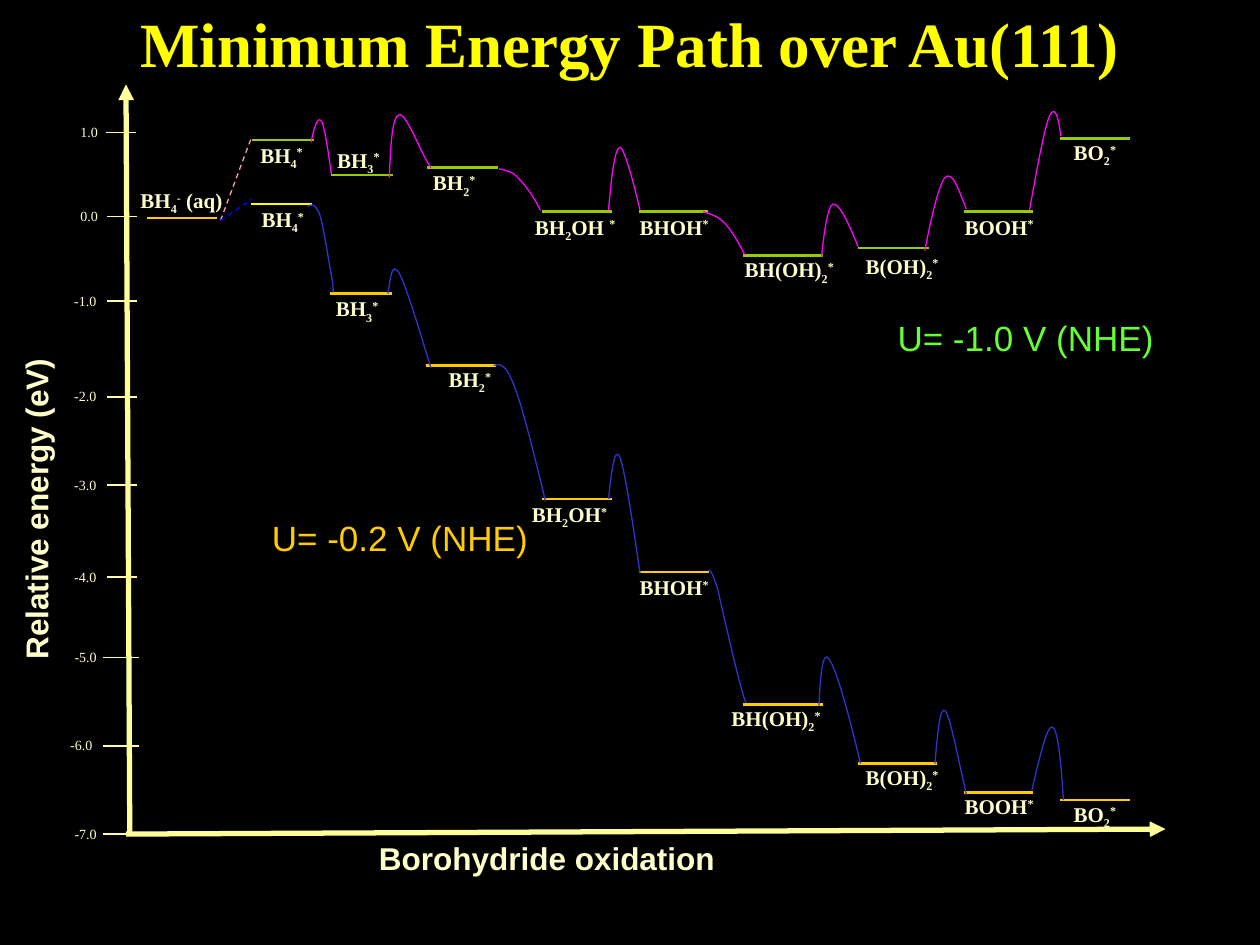
"""Build a slide with the borohydride oxidation energy path at two potentials."""
import pptx
import pptx.dml.color
import pptx.enum.dml
import pptx.enum.text
import pptx.oxml
import pptx.oxml.ns
import pptx.util

COLORS = {
    "background": "000000", "title": "FFFF00", "text": "FFFFCC", "axis": "FFFF99",
    "upper": "99CC00", "lower": "FFCC00", "first": "FFFF00", "upper_note": "66FF33",
    "upper_curve": "FF00FF", "lower_curve": "3333CC", "upper_dash": "FF99CC", "lower_dash": "0000FF",
}
RGB = {name: pptx.dml.color.RGBColor.from_string(value) for name, value in COLORS.items()}
BASELINES = {"_": "-25000", "^": "30000"}
CENTER = pptx.enum.text.PP_ALIGN.CENTER
LEFT = pptx.enum.text.PP_ALIGN.LEFT
GROW = pptx.enum.text.MSO_AUTO_SIZE.SHAPE_TO_FIT_TEXT
AXIS_FONT = {"name": "Arial", "size": pptx.util.Pt(18), "bold": True}
NOTE_FONT = {"name": "Arial", "size": pptx.util.Pt(20), "bold": False}
TICK_FONT = {"name": "Times New Roman", "size": pptx.util.Pt(8), "bold": False}
STATE_FONT = {"name": "Times New Roman", "size": pptx.util.Pt(12), "bold": True}
TITLE_FONT = {"name": "Times New Roman", "size": pptx.util.Pt(36), "bold": True}

presentation = pptx.Presentation()
presentation.slide_width = pptx.util.Inches(10)
presentation.slide_height = pptx.util.Inches(7.5)
UNIT = presentation.slide_width / 10
slide = presentation.slides.add_slide(presentation.slide_layouts[5])
slide.background.fill.solid()
slide.background.fill.fore_color.rgb = RGB["background"]


def write(content, box, font, color="text", align=CENTER, wrap=True, shape=None):
    """Write text whose parts are split by | and marked _ for sub- or ^ for superscript."""
    shape = shape or slide.shapes.add_textbox(0, 0, 0, 0)
    for name, value in zip(("left", "top", "width", "height"), box):
        setattr(shape, name, round(value * UNIT))
    frame = shape.text_frame
    frame.word_wrap = wrap
    frame.auto_size = GROW
    paragraph = frame.paragraphs[0]
    paragraph.alignment = align
    for part in content.split("|"):
        run = paragraph.add_run()
        run.text = part.lstrip("_^")
        for name, value in font.items():
            setattr(run.font, name, value)
        run.font.color.rgb = RGB[color]
        if part[0] in BASELINES:
            run.font._element.set("baseline", BASELINES[part[0]])
    return shape


def draw_line(start, end, color, width, dashed=False, arrow=False):
    """Draw a straight line between two grid points."""
    connector = slide.shapes.add_connector(1, *(round(value * UNIT) for value in start + end))
    connector.line.color.rgb = RGB[color]
    connector.line.width = pptx.util.Pt(width)
    if dashed:
        connector.line.dash_style = pptx.enum.dml.MSO_LINE.DASH
    if arrow:
        outline = connector.line._get_or_add_ln()
        outline.append(pptx.oxml.parse_xml(f'<a:tailEnd {pptx.oxml.ns.nsdecls("a")} type="triangle"/>'))
    connector._element.spPr.append(pptx.oxml.parse_xml(f'<a:effectLst {pptx.oxml.ns.nsdecls("a")}/>'))


title = write("Minimum Energy Path over Au(111)", (0, -0.08, 10, 0.83), TITLE_FONT, "title",
              wrap=False, shape=slide.shapes.title)
title.text_frame.auto_size = pptx.enum.text.MSO_AUTO_SIZE.NONE
title.text_frame.vertical_anchor = pptx.enum.text.MSO_ANCHOR.MIDDLE

axis_title = write("Relative energy (eV)", (-1.34, 3.84, 3.25, 0.4), AXIS_FONT)
axis_title.rotation = 270
write("Borohydride oxidation", (2.91, 6.61, 2.87, 0.4), AXIS_FONT, align=LEFT, wrap=False)
draw_line((1.03, 6.61), (1, 0.67), "axis", 3, arrow=True)
draw_line((1, 6.62), (9.25, 6.58), "axis", 3, arrow=True)

ticks = [
    (1.05, 0.84, 0.24, 0.54, 0.43, LEFT), (1.72, 0.85, 0.24, 0.54, 0.43, LEFT),
    (2.39, 0.85, 0.24, 0.49, 0.43, LEFT), (3.15, 0.85, 0.24, 0.49, 0.43, LEFT),
    (3.85, 0.85, 0.24, 0.49, 0.43, LEFT), (4.58, 0.85, 0.24, 0.49, 0.43, LEFT),
    (5.22, 0.82, 0.28, 0.4, 0.56, CENTER), (5.92, 0.82, 0.28, 0.4, 0.49, CENTER),
    (6.62, 0.82, 0.28, 0.33, 0.7, CENTER),
]
for index, (y, left, length, label_left, label_width, align) in enumerate(ticks):
    draw_line((left, y), (left + length, y), "axis", 0.75)
    write(f"{1 - index:.1f}", (label_left, y - 0.12, label_width, 0.23), TICK_FONT, align=align)

states = [
    ("BH|_4|^-| (aq)", "lower", 1.17, 0.55, 1.73, 0.94, 1, -0.29),
    ("BH|_4|^*", "upper", 2, 0.49, 1.11, 1.85, 0.77, -0.03),
    ("BH|_3|^*", "upper", 2.63, 0.49, 1.39, 2.51, 0.67, -0.27),
    ("BH|_2|^*", "upper", 3.39, 0.56, 1.33, 3.26, 0.69, -0.03),
    ("BH|_2|OH |^*", "upper", 4.3, 0.56, 1.68, 3.93, 1.27, -0.03),
    ("BHOH|^*", "upper", 5.07, 0.55, 1.68, 4.93, 0.84, -0.03),
    ("BH(OH)|_2|^*", "upper", 5.9, 0.63, 2.03, 5.68, 1.17, -0.04),
    ("B(OH)|_2|^*", "upper", 6.81, 0.56, 1.97, 6.74, 0.84, -0.01),
    ("BOOH|^*", "upper", 7.65, 0.55, 1.68, 7.51, 0.84, -0.03),
    ("BO|_2|^*", "upper", 8.41, 0.56, 1.1, 8.27, 0.84, -0.04),
    ("BH|_4|^*", "first", 1.99, 0.49, 1.62, 1.86, 0.77, -0.03),
    ("BH|_3|^*", "lower", 2.62, 0.49, 2.33, 2.5, 0.67, -0.03),
    ("BH|_2|^*", "lower", 3.38, 0.56, 2.9, 3.38, 0.7, -0.04),
    ("BH|_2|OH|^*", "lower", 4.3, 0.56, 3.96, 4.03, 0.98, -0.03),
    ("BHOH|^*", "lower", 5.07, 0.56, 4.54, 4.93, 0.84, -0.03),
    ("BH(OH)|_2|^*", "lower", 5.9, 0.63, 5.59, 5.66, 1, -0.04),
    ("B(OH)|_2|^*", "lower", 6.81, 0.63, 6.06, 6.74, 0.84, -0.04),
    ("BOOH|^*", "lower", 7.65, 0.55, 6.29, 7.51, 0.84, -0.04),
    ("BO|_2|^*", "lower", 8.41, 0.56, 6.35, 8.27, 0.84, -0.04),
]
for formula, color, left, length, y, label_left, label_width, offset in states:
    draw_line((left, y), (left + length, y), color, 1.5)
    write(formula, (label_left, y + offset, label_width, 0.3), STATE_FONT)

draw_line((1.75, 1.75), (2, 1.08), "upper_dash", 0.75, dashed=True)
draw_line((1.75, 1.75), (2, 1.58), "lower_dash", 0.75, dashed=True)
write("U= -1.0 V (NHE)", (6.85, 2.46, 2.58, 0.43), NOTE_FONT, "upper_note")
write("U= -0.2 V (NHE)", (2.01, 4.05, 2.33, 0.43), NOTE_FONT, "lower")

curves = {
    "upper_curve": [
        [(2.47, 1.13), (2.49, 1.02), (2.52, 0.92), (2.55, 0.96), (2.58, 1), (2.62, 1.31), (2.63, 1.38)],
        [(3.09, 1.41), (3.1, 1.17), (3.11, 0.92), (3.17, 0.91), (3.23, 0.9), (3.36, 1.26), (3.42, 1.33)],
        [(3.96, 1.34), (4.01, 1.35), (4.07, 1.36), (4.12, 1.42), (4.18, 1.48), (4.24, 1.57), (4.29, 1.67)],
        [(4.83, 1.67), (4.85, 1.42), (4.88, 1.17), (4.92, 1.17), (4.96, 1.17), (5.06, 1.58), (5.08, 1.67)],
        [(5.58, 1.68), (5.64, 1.7), (5.69, 1.71), (5.75, 1.77), (5.8, 1.82), (5.86, 1.92), (5.91, 2.02)],
        [(6.52, 2.04), (6.54, 1.84), (6.57, 1.64), (6.61, 1.62), (6.66, 1.61), (6.74, 1.78), (6.81, 1.96)],
        [(7.34, 1.99), (7.39, 1.73), (7.45, 1.47), (7.5, 1.41), (7.56, 1.35), (7.61, 1.51), (7.67, 1.66)],
        [(8.17, 1.67), (8.23, 1.34), (8.29, 1.01), (8.33, 0.92), (8.38, 0.82), (8.4, 0.95), (8.42, 1.08)],
    ],
    "lower_curve": [
        [(2.44, 1.64), (2.47, 1.62), (2.5, 1.61), (2.54, 1.71), (2.57, 1.81), (2.62, 2.14), (2.64, 2.24),
         (2.65, 2.34), (2.64, 2.32), (2.64, 2.31)],
        [(3.08, 2.33), (3.1, 2.2), (3.11, 2.07), (3.17, 2.17), (3.22, 2.26), (3.32, 2.59), (3.42, 2.92)],
        [(3.92, 2.9), (3.97, 2.89), (4.01, 2.88), (4.08, 3.06), (4.15, 3.24), (4.24, 3.61), (4.33, 3.98)],
        [(4.83, 3.96), (4.85, 3.75), (4.88, 3.53), (4.92, 3.63), (4.96, 3.73), (5.02, 4.14), (5.08, 4.55)],
        [(5.62, 4.53), (5.63, 4.52), (5.65, 4.52), (5.7, 4.69), (5.74, 4.87), (5.87, 5.45), (5.92, 5.58)],
        [(6.5, 5.6), (6.51, 5.37), (6.53, 5.15), (6.58, 5.23), (6.64, 5.31), (6.74, 5.68), (6.83, 6.06)],
        [(7.42, 6.06), (7.44, 5.83), (7.46, 5.6), (7.5, 5.64), (7.54, 5.68), (7.6, 6), (7.67, 6.31)],
        [(8.19, 6.27), (8.25, 6.01), (8.31, 5.76), (8.35, 5.77), (8.4, 5.78), (8.42, 6.07), (8.44, 6.35)],
    ],
}
for color, barriers in curves.items():
    for barrier in barriers:
        points = [(round(x * UNIT), round(y * UNIT)) for x, y in barrier]
        builder = slide.shapes.build_freeform(*points[0])
        builder.add_line_segments(points[1:], close=False)
        shape = builder.convert_to_shape()
        shape.shadow.inherit = False
        shape.fill.background()
        shape.line.color.rgb = RGB[color]
        shape.line.width = pptx.util.Pt(0.75)
        segments = list(shape._element.iter(pptx.oxml.ns.qn("a:lnTo")))
        for first in range(0, len(segments), 3):
            bezier = pptx.oxml.parse_xml(f'<a:cubicBezTo {pptx.oxml.ns.nsdecls("a")}/>')
            segments[first].addprevious(bezier)
            for segment in segments[first:first + 3]:
                bezier.append(segment[0])
                segment.getparent().remove(segment)

presentation.save("out.pptx")
